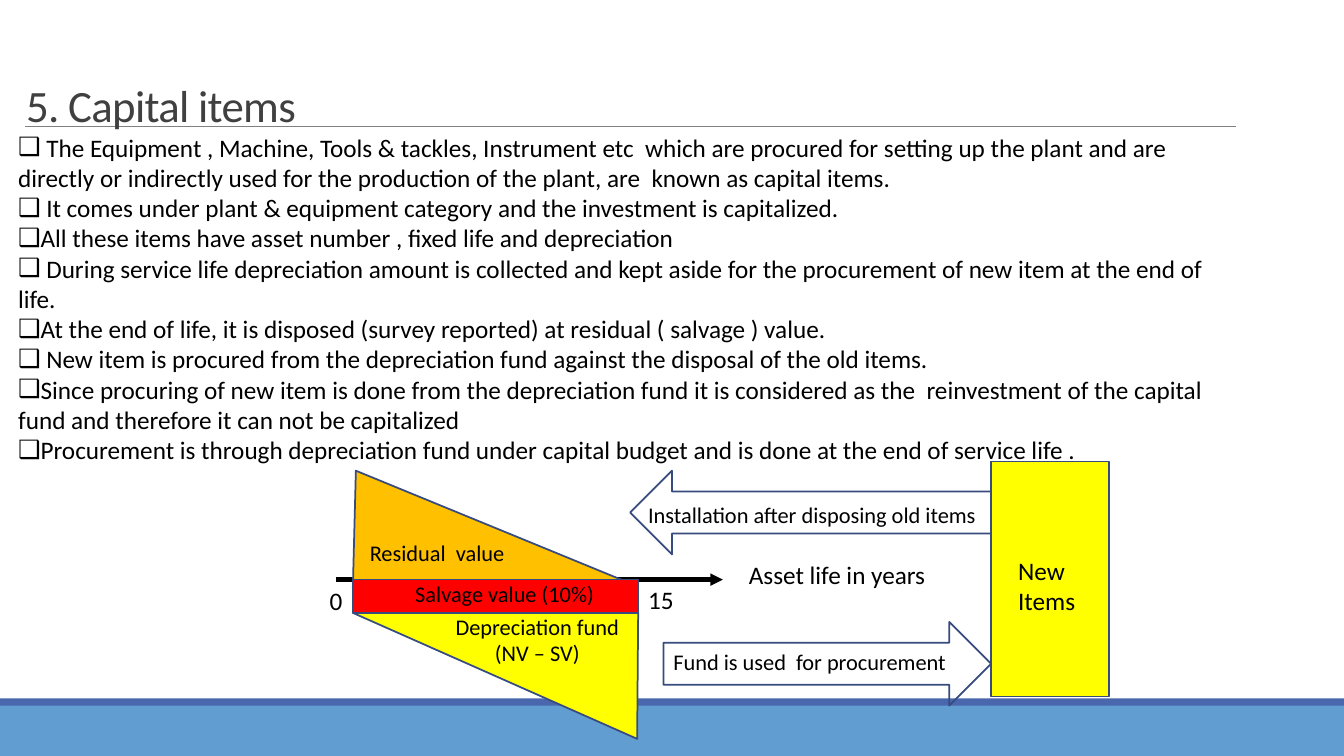
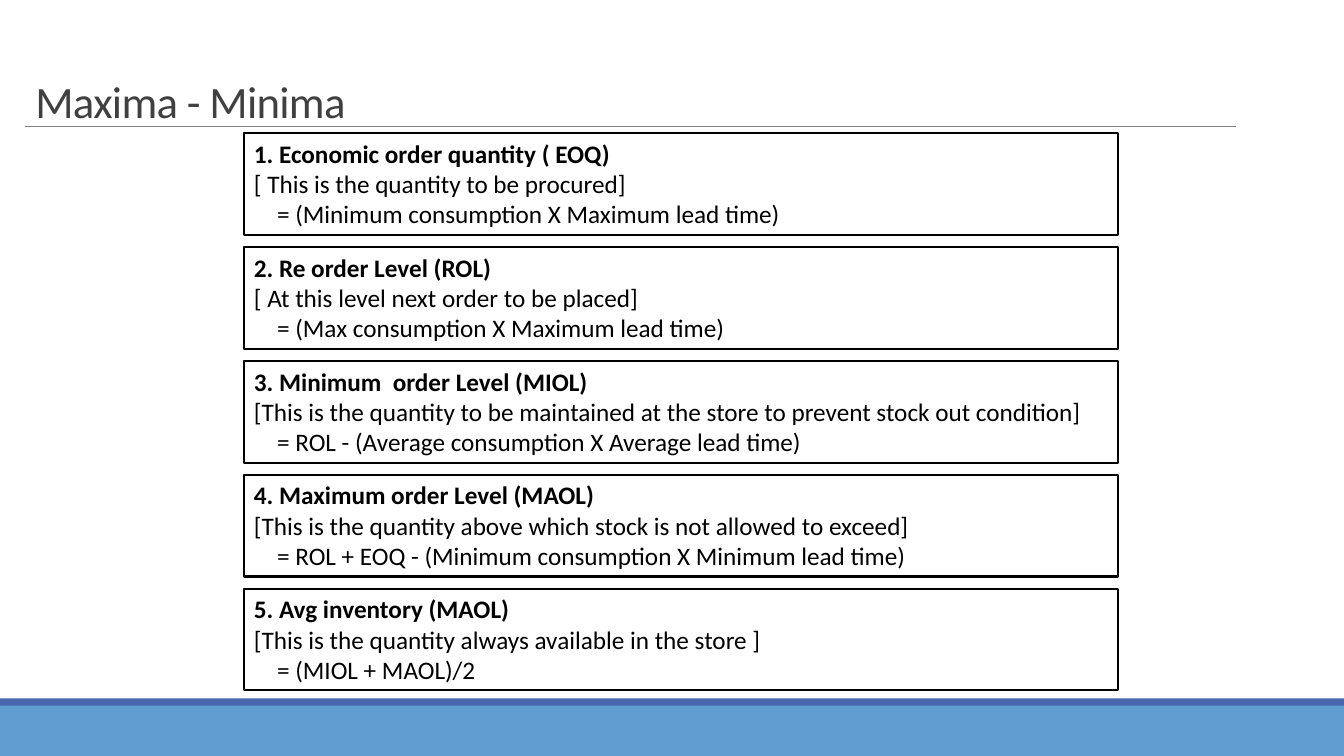
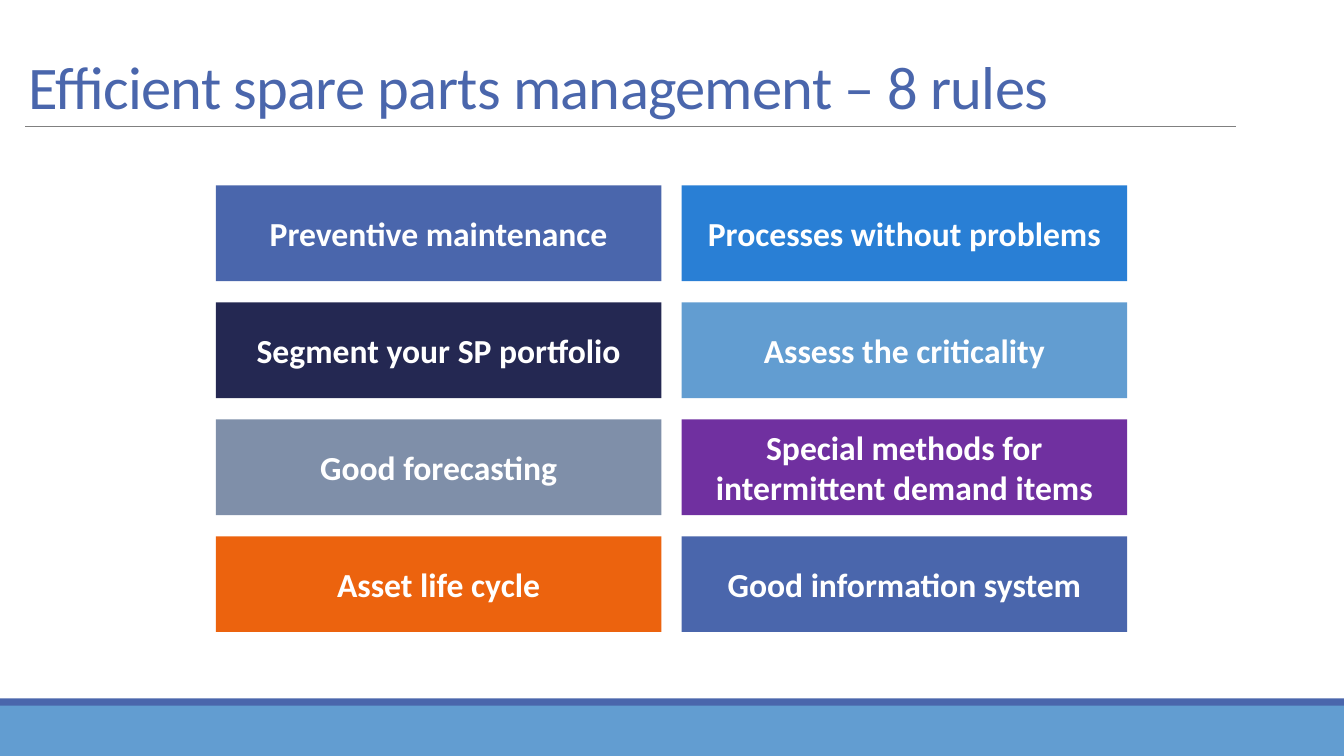
"""Build three slides on capital items, stock levels and spare parts rules."""
from dataclasses import dataclass

from lxml import etree
from pptx import Presentation
from pptx.dml.color import RGBColor
from pptx.enum.shapes import MSO_CONNECTOR, MSO_SHAPE
from pptx.enum.text import MSO_ANCHOR, MSO_AUTO_SIZE, PP_ALIGN
from pptx.oxml.ns import qn
from pptx.util import Pt

PX = 9144
RECT, LEFT_ARROW, RIGHT_ARROW = MSO_SHAPE.RECTANGLE, MSO_SHAPE.LEFT_ARROW, MSO_SHAPE.RIGHT_ARROW
STRAIGHT = MSO_CONNECTOR.STRAIGHT
LEFT, CENTER = PP_ALIGN.LEFT, PP_ALIGN.CENTER
TOP, MIDDLE, BOTTOM = MSO_ANCHOR.TOP, MSO_ANCHOR.MIDDLE, MSO_ANCHOR.BOTTOM
NO_FIT = MSO_AUTO_SIZE.NONE
CONTENT_LAYOUT, TITLE_LAYOUT = 1, 5


@dataclass(frozen=True)
class Theme:
    font: str = "Calibri"
    black: str = "000000"
    white: str = "FFFFFF"
    heading: str = "404040"
    rule: str = "808080"
    indigo: str = "4A66AC"
    sky: str = "629DD1"
    blue: str = "297FD5"
    navy: str = "242852"
    slate: str = "7F8FA9"
    purple: str = "7030A0"
    orange: str = "EC630E"
    edge: str = "374B7F"
    amber: str = "FFC000"
    red: str = "FF0000"
    yellow: str = "FFFF00"
    title_size: float = 32
    big_title_size: float = 43.2
    body_size: float = 18
    label_size: float = 16
    rule_size: float = 24


THEME = Theme()

SLIDE_SIZE = (1333, 750)
BANDS = [((0, 699, 1333, 51), THEME.sky), ((0, 693, 1333, 7), THEME.indigo)]
TITLE_RULE = (25, 125, 1226, 125)

CAPITAL_TITLE = "5. Capital items"
CAPITAL_POINTS = [
    " The Equipment , Machine, Tools & tackles, Instrument etc  which are procured for setting up "
    "the plant and are directly or indirectly used for the production of the plant, are  known as "
    "capital items.",
    " It comes under plant & equipment category and the investment is capitalized.",
    "All these items have asset number , fixed life and depreciation",
    " During service life depreciation amount is collected and kept aside for the procurement of "
    "new item at the end of life.",
    "At the end of life, it is disposed (survey reported) at residual ( salvage ) value.",
    " New item is procured from the depreciation fund against the disposal of the old items.",
    "Since procuring of new item is done from the depreciation fund it is considered as the  "
    "reinvestment of the capital fund and therefore it can not be capitalized",
    "Procurement is through depreciation fund under capital budget and is done at the end of "
    "service life .",
]
LIFE_AXIS = (333, 575, 717, 575)
VALUE_WEDGES = [
    ([(350, 583), (353, 467), (633, 582)], THEME.amber),
    ([(350, 608), (633, 608), (632, 733)], THEME.yellow),
]
CYCLE_SHAPES = [
    (RECT, (350, 575, 283, 33), THEME.red),
    (RIGHT_ARROW, (658, 617, 325, 83), None),
    (RECT, (983, 458, 117, 233), THEME.yellow),
    (LEFT_ARROW, (625, 467, 358, 83), None),
]
CYCLE_LABELS = [
    ("Residual  value", (350, 530, 167, 37), THEME.label_size, CENTER),
    ("Salvage value (10%)", (392, 571, 217, 37), THEME.label_size, CENTER),
    ("Depreciation fund (NV – SV)", (433, 603, 200, 64), THEME.label_size, CENTER),
    ("Asset life in years", (733, 550, 200, 40), THEME.body_size, LEFT),
    ("15", (633, 575, 50, 40), THEME.body_size, LEFT),
    ("0", (317, 576, 42, 40), THEME.body_size, LEFT),
    ("Fund is used  for procurement", (658, 638, 292, 37), THEME.label_size, LEFT),
    ("New Items", (1000, 546, 83, 71), THEME.body_size, LEFT),
    ("Installation after disposing old items", (633, 492, 350, 37), THEME.label_size, LEFT),
]

LEVELS_TITLE = "Maxima - Minima"
STOCK_LEVELS = [
    ("1. Economic order quantity ( EOQ)", "[ This is the quantity to be procured]",
     "= (Minimum consumption X Maximum lead time)"),
    ("2. Re order Level (ROL)", "[ At this level next order to be placed]",
     "= (Max consumption X Maximum lead time)"),
    ("3. Minimum  order Level (MIOL)",
     "[This is the quantity to be maintained at the store to prevent stock out condition]",
     "= ROL - (Average consumption X Average lead time)"),
    ("4. Maximum order Level (MAOL)",
     "[This is the quantity above which stock is not allowed to exceed]",
     "= ROL + EOQ - (Minimum consumption X Minimum lead time)"),
    ("5. Avg inventory (MAOL)", "[This is the quantity always available in the store ]",
     "= (MIOL + MAOL)/2"),
]
LEVEL_BOX, LEVEL_STEP, FORMULA_INDENT = (242, 132, 867, 101), 113, 23

RULES_TITLE = "Efficient spare parts management – 8 rules"
RULES = [
    ("Preventive maintenance", THEME.indigo),
    ("Processes without problems", THEME.blue),
    ("Segment your SP portfolio", THEME.navy),
    ("Assess the criticality", THEME.sky),
    ("Good forecasting", THEME.slate),
    ("Special methods for intermittent demand items", THEME.purple),
    ("Asset life cycle", THEME.orange),
    ("Good information system", THEME.indigo),
]
RULE_BOX, RULE_STEPS, RULE_COLUMNS = (214, 184, 442, 95), (462, 116), 2


def emu(lengths):
    return [length * PX for length in lengths]


def rgb(colour):
    return RGBColor.from_string(colour)


def write(paragraph, text, size, colour=THEME.black, bold=False, align=LEFT):
    paragraph.alignment = align
    run = paragraph.add_run()
    run.text = text
    run.font.name, run.font.size, run.font.bold = THEME.font, Pt(size), bold
    run.font.color.rgb = rgb(colour)
    return run


def paragraphs(frame, count):
    return [frame.paragraphs[0]] + [frame.add_paragraph() for _ in range(count - 1)]


def indent(paragraph, margin):
    properties = paragraph._p.get_or_add_pPr()
    properties.set("marL", str(margin * PX))
    properties.set("indent", "0")
    return properties


def paint(shape, fill=None, line=None, width=1.25):
    shape.shadow.inherit = False
    if fill:
        shape.fill.solid()
        shape.fill.fore_color.rgb = rgb(fill)
    else:
        shape.fill.background()
    if line:
        shape.line.color.rgb = rgb(line)
        shape.line.width = Pt(width)
    else:
        shape.line.fill.background()
    return shape


def add_box(slide, preset, box, **style):
    return paint(slide.shapes.add_shape(preset, *emu(box)), **style)


def add_line(slide, ends, colour, width, arrow=False):
    line = slide.shapes.add_connector(STRAIGHT, *emu(ends))
    line.line.color.rgb = rgb(colour)
    line.line.width = Pt(width)
    properties = line.element.spPr
    if arrow:
        etree.SubElement(properties.find(qn("a:ln")), qn("a:tailEnd"), type="triangle")
    etree.SubElement(properties, qn("a:effectLst"))
    return line


def place(placeholder, box, anchor):
    placeholder.left, placeholder.top, placeholder.width, placeholder.height = emu(box)
    frame = placeholder.text_frame
    frame.auto_size, frame.vertical_anchor, frame.word_wrap = NO_FIT, anchor, True
    return frame


def add_slide(deck, layout, title, box, size=THEME.title_size, colour=THEME.heading):
    slide = deck.slides.add_slide(deck.slide_layouts[layout])
    heading = place(slide.shapes.title, box, BOTTOM).paragraphs[0]
    heading.line_spacing = 0.85
    run = write(heading, title, size, colour)
    run._r.get_or_add_rPr().set("spc", "-50")
    return slide


def move_to_master(deck, slide):
    decor = [add_box(slide, RECT, box, fill=colour) for box, colour in BANDS]
    decor.append(add_line(slide, TITLE_RULE, THEME.rule, 0.5))
    for number, part in enumerate(decor, 101):
        part.element[0][0].set("id", str(number))
        deck.slide_master.shapes.element.append(part.element)


def fill_capital(slide):
    frame = place(slide.placeholders[1], (8, 126, 1200, 343), TOP)
    for paragraph, point in zip(paragraphs(frame, len(CAPITAL_POINTS)), CAPITAL_POINTS):
        write(paragraph, point, THEME.body_size)
        paragraph.space_before = Pt(0)
        etree.SubElement(indent(paragraph, 0), qn("a:buChar"), char="❑")
    add_line(slide, LIFE_AXIS, THEME.black, 3, arrow=True)
    for corners, colour in VALUE_WEDGES:
        outline = slide.shapes.build_freeform(*corners[0], scale=PX)
        outline.add_line_segments(corners[1:], close=True)
        paint(outline.convert_to_shape(), colour, THEME.edge)
    for preset, box, colour in CYCLE_SHAPES:
        add_box(slide, preset, box, fill=colour, line=THEME.edge)
    for text, box, size, align in CYCLE_LABELS:
        label = slide.shapes.add_textbox(*emu(box)).text_frame
        label.word_wrap = True
        write(label.paragraphs[0], text, size, align=align)


def fill_levels(slide):
    left, top, width, height = LEVEL_BOX
    for row, level in enumerate(STOCK_LEVELS):
        box = (left, top + row * LEVEL_STEP, width, height)
        frame = add_box(slide, RECT, box, line=THEME.black, width=1.5).text_frame
        frame.vertical_anchor = TOP
        lines = paragraphs(frame, len(level))
        for paragraph, text in zip(lines, level):
            write(paragraph, text, THEME.body_size, bold=paragraph is lines[0])
        indent(lines[-1], FORMULA_INDENT)


def fill_rules(slide):
    left, top, width, height = RULE_BOX
    across, down = RULE_STEPS
    for index, (rule, colour) in enumerate(RULES):
        row, column = divmod(index, RULE_COLUMNS)
        box = (left + column * across, top + row * down, width, height)
        frame = add_box(slide, RECT, box, fill=colour).text_frame
        frame.vertical_anchor = MIDDLE
        frame.margin_left, frame.margin_top, frame.margin_right, frame.margin_bottom = emu((9, 4, 9, 4))
        write(frame.paragraphs[0], rule, THEME.rule_size, THEME.white, True, CENTER)


def main():
    deck = Presentation()
    deck.slide_width, deck.slide_height = emu(SLIDE_SIZE)
    capital = add_slide(deck, CONTENT_LAYOUT, CAPITAL_TITLE, (16, 66, 900, 70))
    move_to_master(deck, capital)
    fill_capital(capital)
    fill_levels(add_slide(deck, TITLE_LAYOUT, LEVELS_TITLE, (25, 62, 900, 70)))
    fill_rules(add_slide(deck, TITLE_LAYOUT, RULES_TITLE, (18, 26, 1104, 100),
                         THEME.big_title_size, THEME.indigo))
    deck.save("out.pptx")


if __name__ == "__main__":
    main()
